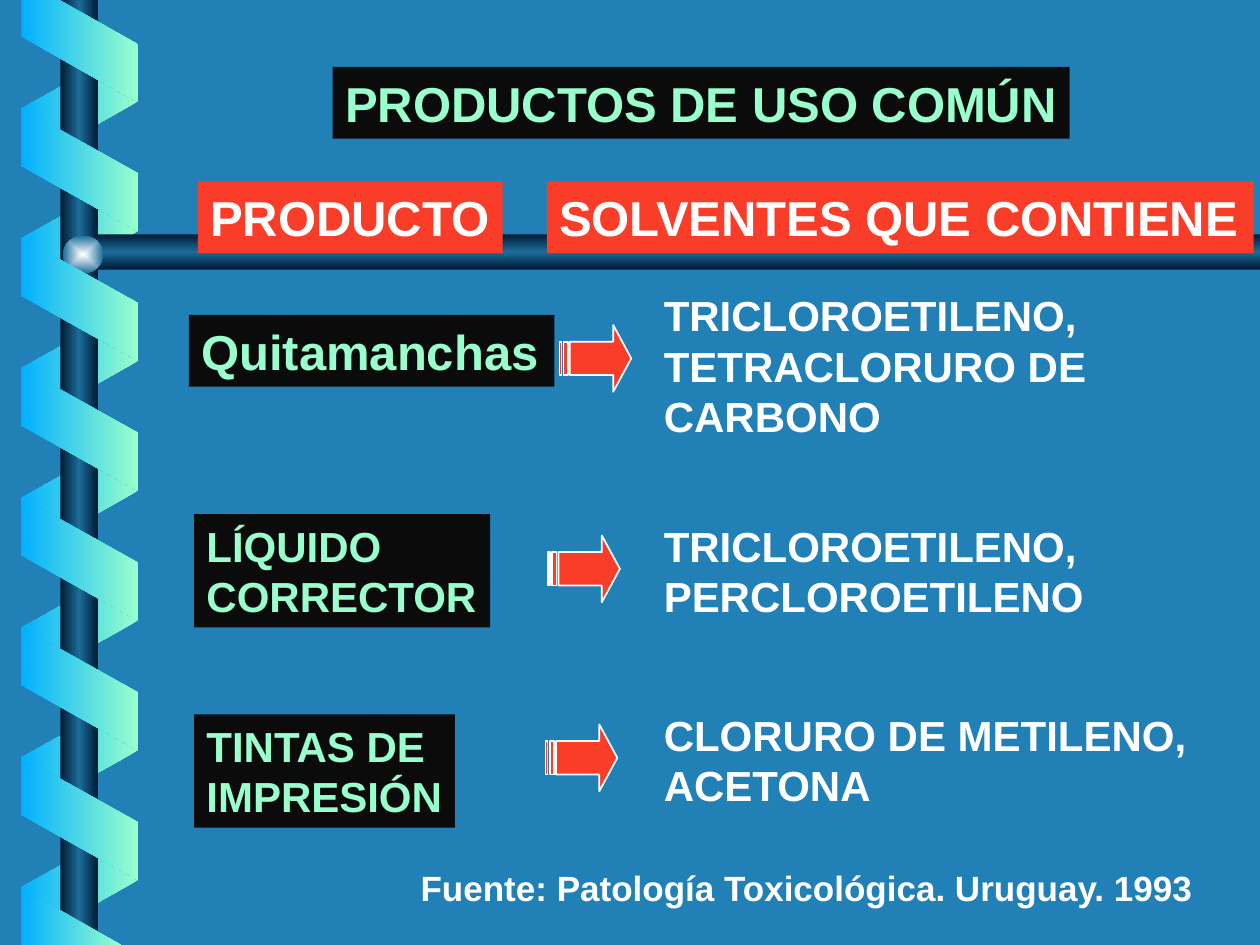
from lxml import etree
from pptx import Presentation
from pptx.dml.color import RGBColor
from pptx.enum import shapes, text
from pptx.oxml import ns
from pptx.util import Inches, Pt

BLACK, RED, MINT, SKY, WHITE = "0B0B0B", "F93D29", "99FFCC", "01B0FF", "FFFFFF"
NAVY, STEEL, BACKGROUND = "001932", "1C6D9A", "2181B7"
RIBBON = [(0, SKY), (100, MINT)]
TUBE = [(0, NAVY), (50, STEEL), (100, NAVY)]
KIND = shapes.MSO_SHAPE
FIT = text.MSO_AUTO_SIZE


def color(value):
    return RGBColor.from_string(value)


def paint(fill, value):
    fill.solid()
    fill.fore_color.rgb = color(value)


def shade(shape, stops, angle=0, from_center=False):
    """Give a shape a borderless gradient that ignores its rotation."""
    shape.shadow.inherit = False
    shape.line.fill.background()
    shape.fill.gradient()
    gradient = shape._element.spPr.find(ns.qn("a:gradFill"))
    gradient.set("rotWithShape", "0")
    for child in list(gradient):
        gradient.remove(child)
    stop_list = etree.SubElement(gradient, ns.qn("a:gsLst"))
    for position, value in stops:
        stop = etree.SubElement(stop_list, ns.qn("a:gs"), pos=str(position * 1000))
        etree.SubElement(stop, ns.qn("a:srgbClr"), val=value)
    if from_center:
        center = etree.SubElement(gradient, ns.qn("a:path"), path="rect")
        etree.SubElement(center, ns.qn("a:fillToRect"),
                         dict.fromkeys("ltrb", "50000"))
    else:
        etree.SubElement(gradient, ns.qn("a:lin"), ang=str(angle * 60000), scaled="1")


def add_preset(slide, kind, left, top, width, height):
    return slide.shapes.add_shape(
        kind, Inches(left), Inches(top), Inches(width), Inches(height))


def add_outline(slide, left, top, points):
    """Draw a closed outline from points relative to left and top."""
    corners = [(Inches(left + x), Inches(top + y)) for x, y in points]
    builder = slide.shapes.build_freeform(*corners[0])
    builder.add_line_segments(corners[1:], close=True)
    return builder.convert_to_shape()


def write(box, words, size=24, ink=WHITE, fill=None, fit=FIT.SHAPE_TO_FIT_TEXT):
    frame = box.text_frame
    frame.text = words
    frame.word_wrap = False
    frame.auto_size = fit
    frame.vertical_anchor = text.MSO_ANCHOR.TOP
    frame.margin_left = frame.margin_right = Inches(0.1)
    frame.margin_top = frame.margin_bottom = Inches(0.05)
    for paragraph in frame.paragraphs:
        paragraph.alignment = text.PP_ALIGN.LEFT
        font = paragraph.font
        font.name, font.size, font.bold = "Arial", Pt(size), True
        font.color.rgb = color(ink)
    if fill:
        paint(box.fill, fill)


def add_text(slide, left, top, width, height, words, **look):
    box = slide.shapes.add_textbox(
        Inches(left), Inches(top), Inches(width), Inches(height))
    write(box, words, **look)


def add_folds(slide, left, top, count, front):
    """Stack the slanted folds of one side of the ribbon."""
    for index in range(count):
        fold = add_preset(slide, KIND.PARALLELOGRAM,
                          left, top + 1.03 * index, 0.98, 0.93)
        fold.adjustments[0] = 0.56
        fold.rotation = 270 if front else 90
        if not front:
            fold._element.spPr.xfrm.set("flipH", "1")
        shade(fold, RIBBON if front else [(0, MINT), (100, SKY)])


def add_spiral(slide, left, top, width, height):
    """Wind the ribbon around the pole, with the crossbar between its sides."""
    add_folds(slide, left, top + 0.37, 7, front=False)
    shade(add_preset(slide, KIND.RECTANGLE, left + 0.34, top, 0.3, height), TUBE)
    bar = add_outline(slide, left + 0.46, top + 1.86, [
        (width - 0.46, 0), (0.16, 0), (0, 0.14), (0.16, 0.28), (width - 0.46, 0.28)])
    shade(bar, TUBE, angle=90)
    knob = add_preset(slide, KIND.OVAL, left + 0.36, top + 1.87, 0.32, 0.3)
    shade(knob, [(0, "FEFFFF"), (100, STEEL)], from_center=True)
    add_folds(slide, left, top + 0.88, 6, front=True)
    upper_end = [(0, 0), (0, 0.29), (0.92, 0.81), (0.92, 0.35), (0.3, 0)]
    lower_end = [(0.79, 0.45), (0, 0), (0, 0.45)]
    shade(add_outline(slide, left + 0.03, top, upper_end), RIBBON)
    shade(add_outline(slide, left + 0.03, top + height - 0.45, lower_end), RIBBON)


def add_arrow(slide, left, top):
    arrow = add_preset(slide, KIND.STRIPED_RIGHT_ARROW, left, top, 0.57, 0.53)
    arrow.adjustments[1] = 0.27
    arrow.shadow.inherit = False
    paint(arrow.fill, RED)
    arrow.line.color.rgb = color(WHITE)
    arrow.line.width = Pt(1)


def add_title(slide, left, top, width, height, words):
    title = slide.shapes.title
    title.left, title.top = Inches(left), Inches(top)
    title.width, title.height = Inches(width), Inches(height)
    write(title, words, size=28, ink=MINT, fill=BLACK, fit=FIT.NONE)


def add_headings(slide, left, top, height):
    for offset, width, words in [(0, 2.42, "PRODUCTO"),
                                 (2.77, 5.61, "SOLVENTES QUE CONTIENE")]:
        add_text(slide, left + offset, top, width, height, words, size=28, fill=RED)


def add_product(slide, label_box, product, size, arrow_at, solvents_box, solvents):
    add_text(slide, *label_box, product, size=size, ink=MINT, fill=BLACK)
    add_text(slide, *solvents_box, solvents)
    add_arrow(slide, *arrow_at)


def main():
    deck = Presentation()
    deck.slide_width, deck.slide_height = Inches(10), Inches(7.5)
    slide = deck.slides.add_slide(deck.slide_layouts[5])
    paint(slide.background.fill, BACKGROUND)
    add_spiral(slide, 0.14, 0, 9.86, 7.5)
    add_title(slide, 2.64, 0.53, 5.85, 0.57, "PRODUCTOS DE USO COMÚN")
    add_headings(slide, 1.57, 1.44, 0.57)
    products = [
        ((1.5, 2.5, 2.9, 0.57), "Quitamanchas", 28, (4.44, 2.58),
         (5.17, 2.25, 3.64, 1.3), "TRICLOROETILENO,\nTETRACLORURO DE\nCARBONO"),
        ((1.54, 4.08, 2.35, 0.9), "LÍQUIDO\nCORRECTOR", 24, (4.35, 4.25),
         (5.17, 4.08, 3.57, 0.9), "TRICLOROETILENO,\nPERCLOROETILENO"),
        ((1.54, 5.67, 2.07, 0.9), "TINTAS DE\nIMPRESIÓN", 24, (4.33, 5.75),
         (5.17, 5.58, 4.44, 0.9), "CLORURO DE METILENO,\nACETONA"),
    ]
    for product in products:
        add_product(slide, *product)
    add_text(slide, 3.24, 6.83, 6.37, 0.44,
             "Fuente: Patología Toxicológica. Uruguay. 1993", size=20)
    deck.save("out.pptx")


if __name__ == "__main__":
    main()
